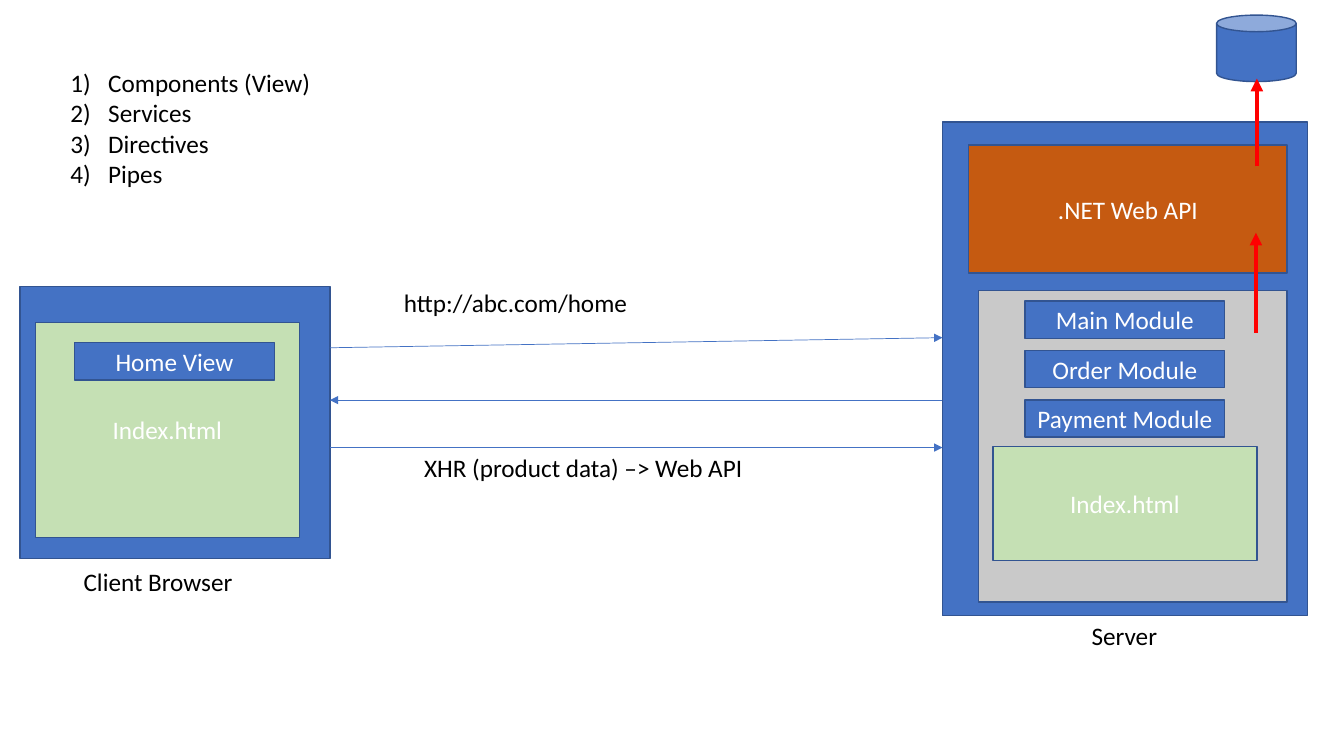
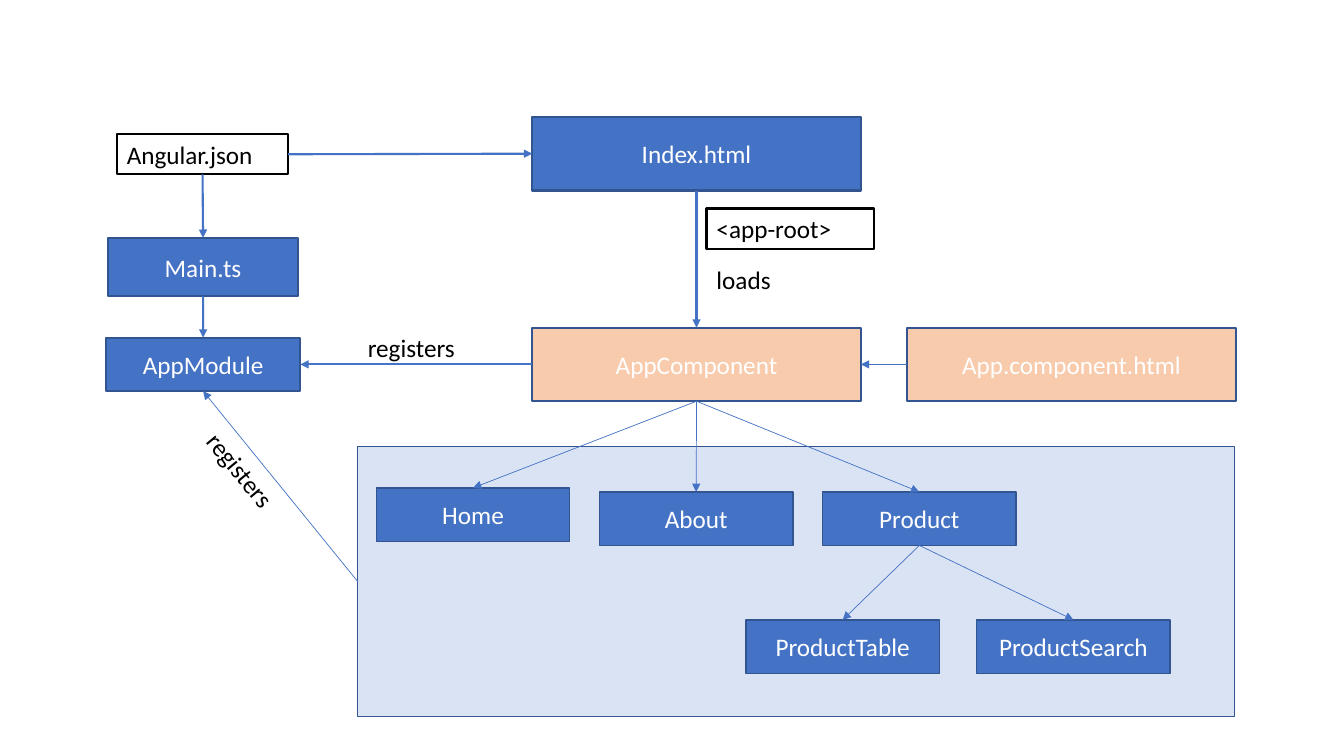
import dataclasses

import lxml.etree
import pptx
import pptx.dml.color
import pptx.enum.shapes
import pptx.enum.text
import pptx.oxml.ns
import pptx.util

Pt = pptx.util.Pt
SHAPES = pptx.enum.shapes.MSO_SHAPE
ALIGN = pptx.enum.text.PP_ALIGN
ANCHOR = pptx.enum.text.MSO_ANCHOR
TOP, LEFT, BOTTOM, RIGHT = range(4)  # connection sites of a rectangle


@dataclasses.dataclass(frozen=True)
class Theme:
    blue: str = "4472C4"
    outline: str = "325491"
    pale_blue: str = "DAE3F3"
    green: str = "C5E0B4"
    gray: str = "C9C9C9"
    orange: str = "C55A11"
    peach: str = "F8CBAD"
    red: str = "FF0000"
    black: str = "000000"
    white: str = "FFFFFF"
    font: str = "Calibri"
    size: float = 18
    thin: float = 0.5
    normal: float = 1
    medium: float = 1.5
    thick: float = 3


THEME = Theme()


def rgb(color):
    return pptx.dml.color.RGBColor.from_string(color)


def add_xml(parent, tag, **attributes):
    return lxml.etree.SubElement(parent, pptx.oxml.ns.qn(tag), attributes)


def write_text(shape, text, color=THEME.black, align=ALIGN.LEFT, anchor=ANCHOR.TOP,
               numbered=False, indent=27):
    """Fill a shape with text, one paragraph for each line."""
    frame = shape.text_frame
    frame.word_wrap = True
    frame.vertical_anchor = anchor
    frame.text = text
    for paragraph in frame.paragraphs:
        paragraph.alignment = align
        for run in paragraph.runs:
            run.font.name = THEME.font
            run.font.size = Pt(THEME.size)
            run.font.color.rgb = rgb(color)
        if numbered:
            properties = paragraph._p.get_or_add_pPr()
            properties.set("marL", str(Pt(indent)))
            properties.set("indent", str(-Pt(indent)))
            add_xml(properties, "a:buFont", typeface="+mj-lt")
            add_xml(properties, "a:buAutoNum", type="arabicParenR")


class Diagram:
    """Holds the theme and the current slide; all lengths are points."""

    def __init__(self, presentation, theme):
        self.presentation = presentation
        self.theme = theme
        self.slide = None

    def new_slide(self):
        blank = self.presentation.slide_layouts[6]
        self.slide = self.presentation.slides.add_slide(blank)

    def box(self, left, top, width, height, text="", fill=THEME.blue,
            weight=THEME.normal, kind=SHAPES.RECTANGLE):
        shape = self.slide.shapes.add_shape(kind, Pt(left), Pt(top), Pt(width), Pt(height))
        shape.shadow.inherit = False
        shape.fill.solid()
        shape.fill.fore_color.rgb = rgb(fill)
        shape.line.color.rgb = rgb(self.theme.outline)
        shape.line.width = Pt(weight)
        if text:
            write_text(shape, text, color=self.theme.white, align=ALIGN.CENTER,
                       anchor=ANCHOR.MIDDLE)
        return shape

    def label(self, left, top, width, text, height=28.8, framed=False, rotation=0,
              numbered=False):
        shape = self.slide.shapes.add_textbox(Pt(left), Pt(top), Pt(width), Pt(height))
        write_text(shape, text, numbered=numbered)
        shape.text_frame.auto_size = pptx.enum.text.MSO_AUTO_SIZE.SHAPE_TO_FIT_TEXT
        shape.rotation = rotation
        if framed:
            shape.line.color.rgb = rgb(self.theme.black)
            shape.line.width = Pt(self.theme.medium)
        return shape

    def arrow(self, start, end, color=THEME.blue, weight=THEME.thin):
        connector = self.slide.shapes.add_connector(
            pptx.enum.shapes.MSO_CONNECTOR.STRAIGHT, *map(Pt, start + end))
        connector.line.color.rgb = rgb(color)
        connector.line.width = Pt(weight)
        add_xml(connector.line._get_or_add_ln(), "a:tailEnd", type="triangle")
        add_xml(connector._element.spPr, "a:effectLst")
        return connector

    def link(self, source, source_site, target, target_site, weight=THEME.thin):
        connector = self.arrow((0, 0), (0, 0), weight=weight)
        connector.begin_connect(source, source_site)
        connector.end_connect(target, target_site)


def build_request_flow(diagram):
    theme = diagram.theme
    diagram.new_slide()
    page_width, module_width, module_height = 188.6, 142.6, 26.6

    # Server
    diagram.box(673.2, 87.1, 260.6, 352.8)
    diagram.box(699.1, 207.4, 220.3, 222.5, fill=theme.gray)
    diagram.box(709.2, 319, page_width, 81.4, "Index.html", fill=theme.green)
    diagram.box(691.9, 103.7, 227.5, 91.4, ".NET Web API", fill=theme.orange)
    for row, name in enumerate(["Main", "Order", "Payment"]):
        diagram.box(732.2, 215.1 + 35.3 * row, module_width, module_height, f"{name} Module")
    diagram.label(772.6, 439.2, 69.1, "Server")

    # Database and the calls that lead to it
    diagram.box(869, 10.8, 56.9, 47.5, kind=SHAPES.CAN)
    for x, start, end in [(897.8, 118.8, 56.2), (897.1, 237.6, 166.3)]:
        diagram.arrow((x, start), (x, end), color=theme.red, weight=theme.thick)

    # Client
    diagram.box(14.4, 204.5, 221.5, 194.4)
    diagram.box(25.2, 230.4, page_width, 153.4, "Index.html", fill=theme.green)
    diagram.box(53.3, 244.8, module_width, module_height, "Home View")
    diagram.label(52.6, 401, 136.1, "Client Browser")

    # Requests and response
    client_edge, server_edge = 235.6, 673.2
    diagram.arrow((client_edge, 248.4), (server_edge, 241.2))
    diagram.arrow((server_edge, 285.8), (client_edge, 285.8))
    diagram.arrow((client_edge, 319.7), (server_edge, 319.7))
    diagram.label(281.5, 201.6, 298.1, "http://abc.com/home")
    diagram.label(295.9, 319.7, 298.1, "XHR (product data) \u2013> Web API")

    # Building blocks
    diagram.label(43.2, 44.6, 195.1, "Components (View)\nServices\nDirectives\nPipes",
                  height=94.3, numbered=True)


def build_component_tree(diagram):
    theme = diagram.theme
    medium = theme.medium
    diagram.new_slide()
    wide, tall = 234.7, 52.6
    narrow, low = 138.2, 38.2
    component_top = 234

    # Panel of child components
    panel = diagram.box(255.6, 319, 626.4, 193, fill=theme.pale_blue)
    home, about, product = [
        diagram.box(268.8 + 159.4 * column, top, narrow, low, name)
        for column, (name, top) in enumerate(
            [("Home", 348.5), ("About", 351.4), ("Product", 351.4)])]
    table, search = [
        diagram.box(left, 442.8, narrow, low, name)
        for name, left in [("ProductTable", 532.8), ("ProductSearch", 697.7)]]

    # Start-up files
    settings = diagram.label(83.5, 95.8, 122.4, "Angular.json", framed=True)
    main = diagram.box(77, 169.9, 136.1, 41.8, "Main.ts", weight=medium)
    module = diagram.box(75.6, 241.2, 139, low, "AppModule", weight=medium)

    # Page and root component
    index = diagram.box(380.2, 83.5, wide, tall, "Index.html", weight=medium)
    component = diagram.box(380.2, component_top, wide, tall, "AppComponent",
                            fill=theme.peach, weight=medium)
    template = diagram.box(648, component_top, wide, tall, "App.component.html",
                           fill=theme.peach, weight=medium)

    # Links
    diagram.link(settings, RIGHT, index, LEFT, medium)
    diagram.link(settings, BOTTOM, main, TOP, medium)
    diagram.link(main, BOTTOM, module, TOP, medium)
    diagram.link(index, BOTTOM, component, TOP, medium)
    diagram.link(component, LEFT, module, RIGHT, medium)
    diagram.link(template, LEFT, component, RIGHT)
    diagram.link(panel, LEFT, module, BOTTOM)
    for parent, children in [(component, (home, about, product)), (product, (table, search))]:
        for child in children:
            diagram.link(parent, BOTTOM, child, TOP)

    # Link labels
    diagram.label(504.7, 149, 119.5, "<app-root>", framed=True)
    diagram.label(504.7, 185, 72, "loads")
    diagram.label(255.6, component_top, 130.3, "registers")
    diagram.label(123.8, 342, 130.3, "registers", rotation=50.4)


presentation = pptx.Presentation()
presentation.slide_width = Pt(960)
presentation.slide_height = Pt(540)
diagram = Diagram(presentation, THEME)
build_request_flow(diagram)
build_component_tree(diagram)
presentation.save("out.pptx")
